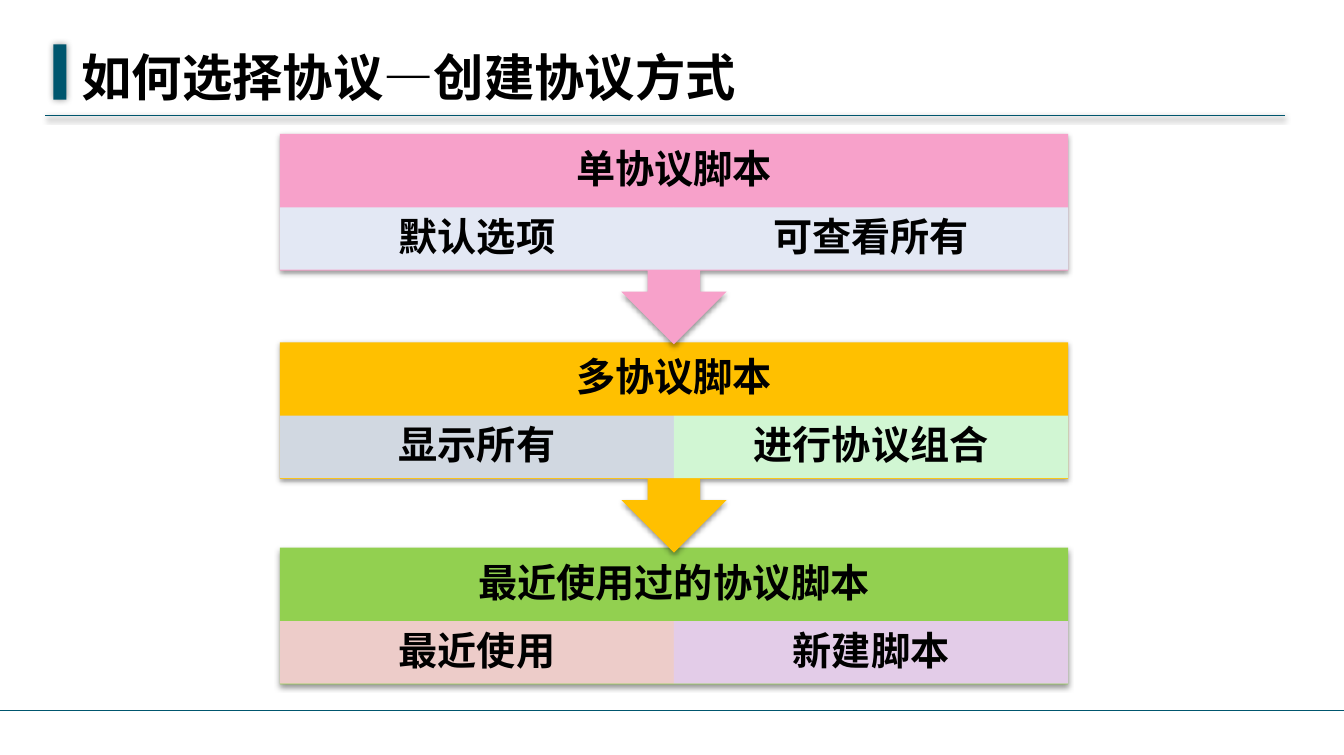
from lxml import etree
from pptx import Presentation
from pptx import util as u
from pptx.dml.color import RGBColor
from pptx.enum import shapes, text
from pptx.oxml import ns

WIDTH, HEIGHT = 13.35, 7.5
FONT = "Noto Sans CJK SC"
COLORS = {
    "teal": "00566E", "black": "000000",
    "pink": "F7A1CA", "amber": "FFC000", "green": "92D050",
    "mist": "E3E8F4", "sky": "CCDBFA", "mint": "CCFCEA",
    "rose": "F7CCD7", "lilac": "ECCCF9",
}
TITLE = "如何选择协议—创建协议方式"
# top, heading, colour, cell opacity in percent, cells (text, colour)
STEPS = [
    (1.33, "单协议脚本", "pink", 100, [("默认选项", "mist"), ("可查看所有", "mist")]),
    (3.4, "多协议脚本", "amber", 90, [("显示所有", "sky"), ("进行协议组合", "mint")]),
    (5.44, "最近使用过的协议脚本", "green", 90, [("最近使用", "rose"), ("新建脚本", "lilac")]),
]
BLOCK_LEFT, BLOCK_WIDTH = 2.78, 7.83
HEAD_HEIGHT, CELL_HEIGHT, BODY_HEIGHT, CALLOUT_HEIGHT = 0.73, 0.62, 1.36, 2.09
STEP_SHADOW = dict(alpha=42, blur=4, dist=1.6, angle=90)
BAR_SHADOW = dict(alpha=40, blur=5, dist=0, angle=0)


def rgb(name):
    return RGBColor.from_string(COLORS[name])


def child(parent, tag, **attributes):
    return etree.SubElement(parent, ns.qn(tag), {k: str(v) for k, v in attributes.items()})


def set_shadow(shape, alpha=0, blur=0, dist=0, angle=0):
    """Replace the theme shadow; zero alpha leaves none."""
    effects = child(shape._element.spPr, "a:effectLst")
    if alpha:
        outer = child(effects, "a:outerShdw", blurRad=u.Pt(blur), dist=u.Pt(dist),
                      dir=angle * 60000, algn="ctr", rotWithShape=0)
        color = child(outer, "a:srgbClr", val=COLORS["black"])
        child(color, "a:alpha", val=alpha * 1000)


def add_block(slide, kind, box, color, opacity=100, shadow=None):
    block = slide.shapes.add_shape(kind, *map(u.Inches, box))
    block.fill.solid()
    block.fill.fore_color.rgb = rgb(color)
    block.line.fill.background()
    if opacity < 100:
        fill_color = block._element.spPr.find(".//" + ns.qn("a:srgbClr"))
        child(fill_color, "a:alpha", val=opacity * 1000)
    set_shadow(block, **(shadow or {}))
    return block


def add_rule(slide, left, right, y, shadow=None):
    ends = map(u.Inches, (left, y, right, y))
    rule = slide.shapes.add_connector(shapes.MSO_CONNECTOR.STRAIGHT, *ends)
    rule.line.color.rgb = rgb("teal")
    rule.line.width = u.Pt(1)
    set_shadow(rule, **(shadow or {}))


def write(shape, words, size=28, align=text.PP_ALIGN.CENTER, spacing=0.9, inset=(0.22, 0.04)):
    frame = shape.text_frame
    frame.word_wrap = True
    frame.auto_size = text.MSO_AUTO_SIZE.NONE
    frame.vertical_anchor = text.MSO_ANCHOR.MIDDLE
    frame.margin_left = frame.margin_right = u.Inches(inset[0])
    frame.margin_top = frame.margin_bottom = u.Inches(inset[1])
    paragraph = frame.paragraphs[0]
    paragraph.alignment = align
    paragraph.line_spacing = spacing
    run = paragraph.add_run()
    run.text = words
    run.font.size = u.Pt(size)
    run.font.bold = True
    run.font.name = FONT
    run.font.color.rgb = rgb("black")
    child(run.font._element, "a:ea", typeface=FONT)


def add_step(slide, top, heading, color, opacity, cells, last):
    if last:
        kind, height = shapes.MSO_SHAPE.RECTANGLE, BODY_HEIGHT
    else:
        kind, height = shapes.MSO_SHAPE.DOWN_ARROW_CALLOUT, CALLOUT_HEIGHT
    add_block(slide, kind, (BLOCK_LEFT, top, BLOCK_WIDTH, height), color, shadow=STEP_SHADOW)
    heading_box = (BLOCK_LEFT, top, BLOCK_WIDTH, HEAD_HEIGHT)
    write(slide.shapes.add_textbox(*map(u.Inches, heading_box)), heading, inset=(0.22, 0.22))
    cell_width = BLOCK_WIDTH / len(cells)
    for column, (words, cell_color) in enumerate(cells):
        box = (BLOCK_LEFT + column * cell_width, top + HEAD_HEIGHT, cell_width, CELL_HEIGHT)
        write(add_block(slide, shapes.MSO_SHAPE.RECTANGLE, box, cell_color, opacity), words)


def main():
    deck = Presentation()
    deck.slide_width, deck.slide_height = u.Inches(WIDTH), u.Inches(HEIGHT)
    slide = deck.slides.add_slide(deck.slide_layouts[5])

    add_rule(slide, 0.45, 12.76, 1.15, STEP_SHADOW)
    add_block(slide, shapes.MSO_SHAPE.RECTANGLE, (0.53, 0.44, 0.13, 0.55), "teal",
              shadow=BAR_SHADOW)
    add_rule(slide, 0, WIDTH, 7.06)

    title = slide.shapes.title
    title.left, title.top, title.width, title.height = map(u.Inches, (0.69, 0.44, 9.05, 0.63))
    write(title, TITLE, size=36, align=text.PP_ALIGN.LEFT, spacing=1.0, inset=(0.12, 0.06))

    # Later steps go behind, so each arrow tip overlaps the block below it.
    for step in reversed(STEPS):
        add_step(slide, *step, last=step is STEPS[-1])

    deck.save("out.pptx")


if __name__ == "__main__":
    main()
